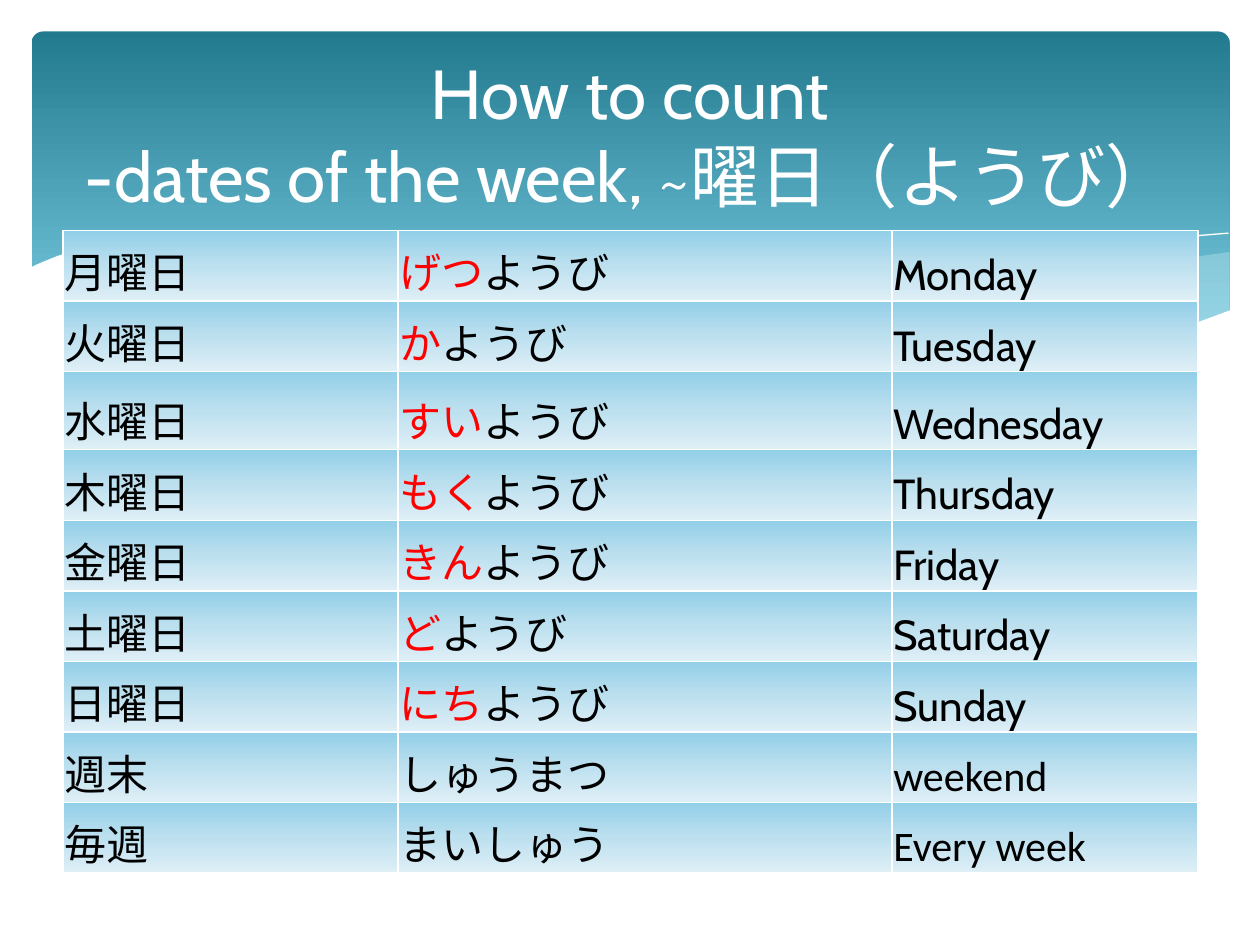
from lxml import etree
from pptx import Presentation
from pptx.dml.color import RGBColor
from pptx.enum.shapes import MSO_SHAPE
from pptx.enum.text import MSO_ANCHOR, PP_ALIGN
from pptx.oxml.ns import qn
from pptx.util import Inches, Pt

ROUNDED = MSO_SHAPE.ROUNDED_RECTANGLE
MIDDLE, BOTTOM = MSO_ANCHOR.MIDDLE, MSO_ANCHOR.BOTTOM
CENTER = PP_ALIGN.CENTER

WHITE = RGBColor(0xFF, 0xFF, 0xFF)
BLACK = RGBColor(0, 0, 0)
RED = RGBColor(0xFF, 0, 0)
PALE = RGBColor(0xDE, 0xF5, 0xFA)
HEADER_STOPS = [(0, RGBColor(0x22, 0x7A, 0x8F)), (90, RGBColor(0x7A, 0xCB, 0xE0))]
CELL_STOPS = [(0, RGBColor(0x92, 0xCF, 0xE8)), (50, RGBColor(0xBD, 0xE0, 0xEF)),
              (100, RGBColor(0xDF, 0xEF, 0xF6))]

# Wave outlines in inches, measured from the corner of the wave band
RIGHT_SWELL = [
    (9.52, .16), (9.25, .2), (8.98, .26), (8.68, .32), (8.38, .39), (7.82, .53),
    (7.3, .64), (6.83, .73), (6.38, .81), (6.68, .85), (6.96, .88), (7.34, .92),
    (7.8, .94), (8.12, .93), (8.4, .91), (8.66, .88), (8.9, .83), (9.12, .78),
    (9.26, .73), (9.53, .63), (9.53, .16)]
MIDDLE_SWELL = [
    (8.7, .89), (8.43, .85), (8.14, .81), (7.52, .7), (6.83, .56), (6.06, .38),
    (5.61, .27), (5.18, .19), (4.79, .12), (4.42, .07), (3.97, .03), (3.57, .01),
    (3.38, .01), (3.05, .03), (2.63, .07), (3, .12), (3.39, .19), (3.81, .27),
    (4.26, .38), (5.07, .56), (5.78, .71), (6.42, .82), (6.99, .88), (7.5, .93),
    (7.95, .94), (8.34, .93), (8.61, .9)]
FALLING_LINE = [
    (2.86, .11), (3.05, .08), (3.3, .05), (3.64, .03), (3.93, .03), (4.27, .04),
    (4.66, .06), (5.1, .1), (5.59, .16), (6.13, .24), (6.72, .35), (7.37, .49),
    (8.08, .67), (8.84, .88)]
RISING_LINE = [
    (5.9, .73), (6.3, .62), (6.72, .51), (7.25, .39), (7.83, .26), (8.43, .15),
    (8.87, .08), (9.28, .03), (9.52, .01)]
WHITE_WAVE = [
    (9.54, .62), (9.27, .72), (8.97, .81), (8.64, .87), (8.27, .91), (7.86, .93),
    (7.38, .91), (6.85, .86), (6.25, .78), (5.56, .66), (4.8, .49), (4.24, .36),
    (3.68, .23), (3.17, .13), (2.69, .06), (2.27, .02), (1.88, 0), (1.54, 0),
    (1.23, .01), (.96, .03), (.72, .07), (.53, .11), (.36, .15), (.23, .19),
    (.13, .23), (.06, .26), (0, .29), (0, 1.45), (9.54, 1.45)]

# Kanji, red part of the reading, rest of the reading, English, font
DAYS = [(kanji + "曜日", reading, "ようび", english, "Cabin") for kanji, reading, english in [
    ("月", "げつ", "Monday"), ("火", "か", "Tuesday"), ("水", "すい", "Wednesday"),
    ("木", "もく", "Thursday"), ("金", "きん", "Friday"), ("土", "ど", "Saturday"),
    ("日", "にち", "Sunday")]]
WEEKS = [("週末", "", "しゅうまつ", "weekend", "Calibri"),
         ("毎週", "", "まいしゅう", "Every week", "Calibri")]


def set_gradient(fill, parent, stops):
    """Fill from top to bottom with (percent, colour) stops."""
    fill.gradient()
    fill.gradient_angle = 270
    stop_list = parent.find(".//" + qn("a:gsLst"))
    for old in list(stop_list):
        stop_list.remove(old)
    for percent, color in stops:
        stop = etree.SubElement(stop_list, qn("a:gs"), pos=str(percent * 1000))
        etree.SubElement(stop, qn("a:srgbClr"), val=str(color))


def add_outline(slide, left, top, points, closed):
    pts = [(left + Inches(x), top + Inches(y)) for x, y in points]
    builder = slide.shapes.build_freeform(*pts[0], scale=1.0)
    builder.add_line_segments(pts[1:], close=closed)
    s = builder.convert_to_shape()
    s.shadow.inherit = False
    return s


def add_header(slide, left, top, width, height):
    s = slide.shapes.add_shape(ROUNDED, left, top, width, height)
    s.adjustments[0] = 0.034
    s.shadow.inherit = False
    s.line.fill.background()
    set_gradient(s.fill, s._element.spPr, HEADER_STOPS)


def add_waves(slide, left, top):
    # Translucent swells
    for points, opacity in [(RIGHT_SWELL, 29), (MIDDLE_SWELL, 40)]:
        s = add_outline(slide, left, top, points, True)
        s.fill.solid()
        s.fill.fore_color.rgb = PALE
        s.line.fill.background()
        color = s._element.spPr.find(".//" + qn("a:srgbClr"))
        etree.SubElement(color, qn("a:alpha"), val=str(opacity * 1000))
    # Hairlines
    for points in (FALLING_LINE, RISING_LINE):
        s = add_outline(slide, left, top, points, False)
        s.fill.background()
        s.line.color.rgb = WHITE
        s.line.width = Pt(0)
    # White wave cutting off the header
    s = add_outline(slide, left, top, WHITE_WAVE, True)
    s.fill.solid()
    s.fill.fore_color.rgb = WHITE
    s.line.fill.background()


def add_run(p, text, size, font, color):
    r = p.add_run()
    r.text = text
    r.font.size = Pt(size)
    r.font.name = font
    r.font.color.rgb = color


def style_cell(cell):
    cell.vertical_anchor = BOTTOM
    cell.margin_left = cell.margin_right = cell.margin_top = Inches(0.01)
    cell.margin_bottom = 0
    tc_pr = cell._tc.get_or_add_tcPr()
    for side in ("lnL", "lnR", "lnT", "lnB"):
        border = etree.SubElement(tc_pr, qn("a:" + side), w=str(Pt(1)))
        solid = etree.SubElement(border, qn("a:solidFill"))
        etree.SubElement(solid, qn("a:srgbClr"), val=str(WHITE))
    set_gradient(cell.fill, tc_pr, CELL_STOPS)


def add_day_table(slide, left, top, width, height):
    entries = DAYS + WEEKS
    table = slide.shapes.add_table(len(entries), 3, left, top, width, height).table
    for column, inches in zip(table.columns, (2.66, 3.92, 2.43)):
        column.width = Inches(inches)
    for i, (kanji, red, rest, english, font) in enumerate(entries):
        table.rows[i].height = Inches(0.62 if english == "Wednesday" else 0.56)
        texts = [[(kanji, BLACK)], [(red, RED), (rest, BLACK)], [(english, BLACK)]]
        for j, runs in enumerate(texts):
            cell = table.cell(i, j)
            style_cell(cell)
            for text, color in runs:
                if text:
                    add_run(cell.text_frame.paragraphs[0], text, 24, font, color)


def add_title(slide, left, top, width, height):
    tf = slide.shapes.add_textbox(left, top, width, height).text_frame
    tf.word_wrap = True
    tf.vertical_anchor = MIDDLE
    p = tf.paragraphs[0]
    p.alignment = CENTER
    add_run(p, "How to count", 39.6, "Cabin", WHITE)
    p.add_line_break()
    add_run(p, "-dates of the week, ~曜日（ようび）", 39.6, "Cabin", WHITE)


def main():
    prs = Presentation()
    prs.slide_width, prs.slide_height = Inches(10), Inches(7.5)
    slide = prs.slides.add_slide(prs.slide_layouts[6])
    add_header(slide, Inches(0.25), Inches(0.25), Inches(9.51), Inches(2.7))
    add_waves(slide, Inches(0.23), Inches(1.84))
    add_day_table(slide, Inches(0.5), Inches(1.83), Inches(9), Inches(5.08))
    add_title(slide, Inches(0.5), Inches(0.37), Inches(9), Inches(1.37))
    prs.save("out.pptx")


if __name__ == "__main__":
    main()
